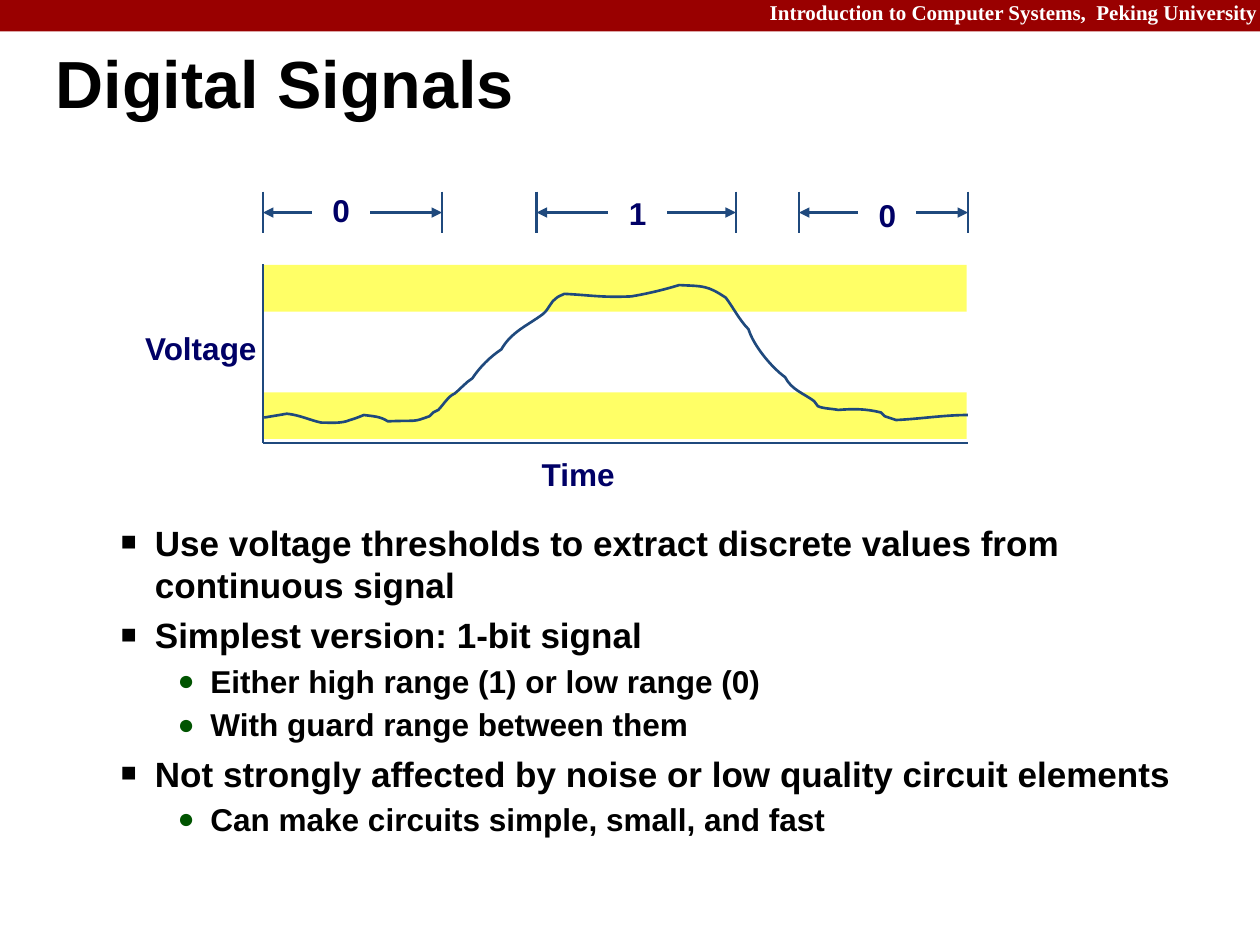
from collections import namedtuple

from lxml.etree import SubElement
from pptx import Presentation
from pptx.dml.color import RGBColor
from pptx.enum.shapes import MSO_CONNECTOR as Connector, MSO_SHAPE as Preset
from pptx.enum.text import MSO_ANCHOR as Anchor, PP_ALIGN as Align
from pptx.oxml.ns import qn
from pptx.util import Inches, Pt

Box = namedtuple("Box", "left top width height")
COLUMNS, ROWS = 999, 749
CELL = Inches(0.01)
BLACK, WHITE, RED, YELLOW = "000000", "FFFFFF", "990000", "FFFF66"
NAVY, BLUE, GREEN = "000066", "1F497D", "005400"

BULLETS = [
    (1, "Use voltage thresholds to extract discrete values from continuous signal"),
    (1, "Simplest version: 1-bit signal"),
    (2, "Either high range (1) or low range (0)"),
    (2, "With guard range between them"),
    (1, "Not strongly affected by noise or low quality circuit elements"),
    (2, "Can make circuits simple, small, and fast"),
]
Level = namedtuple("Level", "margin indent size spacing before mark mark_size mark_color")
LEVELS = {
    1: Level(81, -27, 20, 1.0, 5, "■", 75, BLACK),
    2: Level(125, -26, 18, 1.07, 1.8, "●", 90, GREEN),
}
SPANS = [("0", 0, 142, 62, 0), ("1", 217, 375, 297, 2), ("0", 425, 559, 495, 4)]
SIGNAL_START = (1, 122)
SIGNAL_CURVES = [
    (7, 121, 13, 120, 19, 119), (29, 120, 37, 124, 46, 126),
    (53, 126, 62, 127, 69, 124), (73, 123, 80, 120, 80, 120),
    (87, 121, 93, 121, 99, 125), (124, 124, 118, 126, 132, 121),
    (133, 120, 133, 119, 135, 118), (136, 117, 138, 117, 139, 116),
    (143, 112, 147, 105, 152, 103), (157, 99, 161, 94, 166, 91),
    (172, 82, 180, 74, 189, 68), (197, 54, 210, 49, 222, 40),
    (227, 36, 228, 30, 233, 27), (234, 26, 237, 25, 239, 24),
    (260, 25, 268, 27, 292, 26), (304, 24, 317, 21, 330, 17),
    (349, 18, 352, 17, 367, 27), (373, 35, 378, 45, 385, 52),
    (389, 65, 403, 82, 414, 90), (419, 100, 429, 103, 437, 109),
    (438, 110, 439, 112, 440, 113), (444, 115, 452, 115, 456, 116),
    (468, 115, 478, 115, 490, 118), (491, 119, 492, 120, 493, 121),
    (496, 122, 502, 124, 502, 124), (522, 123, 540, 120, 559, 120),
]


def color(value):
    """Turn a hex string into a colour."""
    return RGBColor.from_string(value)


def cells(*values):
    """Turn grid cells into slide lengths."""
    return [round(value * CELL) for value in values]


def inside(box, left, top, width, height):
    """Return a box placed relative to another one."""
    return Box(box.left + left, box.top + top, width, height)


def add_run(paragraph, text, size, fill, font="Arial"):
    """Add one bold run."""
    run = paragraph.add_run()
    run.text = text
    run.font.name, run.font.size, run.font.bold = font, Pt(size), True
    run.font.color.rgb = color(fill)


def set_frame(shape, margins, wrap=True, anchor=Anchor.TOP):
    """Prepare the text frame of a shape and return it."""
    frame = shape.text_frame
    frame.word_wrap, frame.vertical_anchor = wrap, anchor
    frame.margin_left, frame.margin_top, frame.margin_right, frame.margin_bottom = cells(*margins)
    return frame


def add_line_of_text(frame, text, size, fill, align, spacing=0.9, font="Arial"):
    """Fill a text frame with a single paragraph."""
    paragraph = frame.paragraphs[0]
    paragraph.alignment, paragraph.line_spacing = align, spacing
    add_run(paragraph, text, size, fill, font)


def add_rectangle(slide, box, fill):
    """Add a plain filled rectangle."""
    shape = slide.shapes.add_shape(Preset.RECTANGLE, *cells(*box))
    shape.shadow.inherit = False
    shape.fill.solid()
    shape.fill.fore_color.rgb = color(fill)
    shape.line.fill.background()
    return shape


def add_line(slide, box, start, end, arrows=False):
    """Draw a straight line between two points of a box."""
    points = [box.left + start[0], box.top + start[1], box.left + end[0], box.top + end[1]]
    line = slide.shapes.add_connector(Connector.STRAIGHT, *cells(*points))
    line.line.color.rgb, line.line.width = color(BLUE), Pt(1.5)
    if arrows:
        for tag in ("a:headEnd", "a:tailEnd"):
            SubElement(line.line._get_or_add_ln(), qn(tag), type="triangle")
    SubElement(line._element.spPr, qn("a:effectLst"))


def add_header(slide, box):
    """Draw the course banner."""
    add_rectangle(slide, box, RED)
    text_box = slide.shapes.add_textbox(*cells(*inside(box, 600, -3, 407, 28)))
    frame = set_frame(text_box, (10, 5, 10, 5))
    add_line_of_text(frame, "Introduction to Computer Systems,  Peking University", 12, WHITE,
                     Align.RIGHT, font="Times New Roman")


def add_title(slide, box):
    """Write the slide title."""
    frame = set_frame(slide.shapes.add_textbox(*cells(*box)), (0, 0, 0, 0), anchor=Anchor.MIDDLE)
    add_line_of_text(frame, "Digital Signals", 38, BLACK, Align.LEFT, 0.87)


def add_bullets(slide, box):
    """Write the two-level bullet list."""
    frame = set_frame(slide.shapes.add_textbox(*cells(*box)), (10, 5, 10, 5))
    for index, (depth, text) in enumerate(BULLETS):
        level = LEVELS[depth]
        paragraph = frame.add_paragraph() if index else frame.paragraphs[0]
        properties = paragraph._p.get_or_add_pPr()
        margin, indent = cells(level.margin, level.indent)
        properties.set("marL", str(margin))
        properties.set("indent", str(indent))
        mark_color = SubElement(properties, qn("a:buClr"))
        SubElement(mark_color, qn("a:srgbClr"), val=level.mark_color)
        SubElement(properties, qn("a:buSzPct"), val=str(level.mark_size * 1000))
        SubElement(properties, qn("a:buFont"), typeface="Arial")
        SubElement(properties, qn("a:buChar"), char=level.mark)
        paragraph.level = depth - 1
        paragraph.line_spacing = level.spacing
        if index:
            paragraph.space_before = Pt(level.before)
        add_run(paragraph, text, level.size, BLACK)


def bend_segments(shape):
    """Join each three straight segments of a freeform into one cubic curve."""
    outline = next(shape._element.iter(qn("a:path")))
    segments = outline.findall(qn("a:lnTo"))
    for index in range(0, len(segments), 3):
        curve = SubElement(outline, qn("a:cubicBezTo"))
        for segment in segments[index:index + 3]:
            curve.append(segment[0])
            outline.remove(segment)


def add_signal(slide, box):
    """Draw the voltage curve."""
    points = [curve[i:i + 2] for curve in SIGNAL_CURVES for i in (0, 2, 4)]
    start, *rest = [cells(box.left + x, box.top + y) for x, y in [SIGNAL_START] + points]
    builder = slide.shapes.build_freeform(*start)
    builder.add_line_segments(rest, close=False)
    signal = builder.convert_to_shape()
    bend_segments(signal)
    signal.shadow.inherit = False
    signal.fill.background()
    signal.line.color.rgb, signal.line.width = color(BLUE), Pt(1.5)


def add_plot(slide, box):
    """Draw the threshold bands, axes, axis names and signal."""
    for top in (1, 102):
        add_rectangle(slide, inside(box, 0, top, 558, 37), YELLOW)
    for end in ((0, 0), (box.width, box.height)):
        add_line(slide, box, (0, box.height), end)
    names = [("Voltage", (-100, 50, 100, 37), Align.RIGHT), ("Time", (216, 150, 68, 37), Align.CENTER)]
    for name, place, align in names:
        text_box = slide.shapes.add_textbox(*cells(*inside(box, *place)))
        add_line_of_text(set_frame(text_box, (5, 5, 5, 5), wrap=False), name, 18, NAVY, align)
    add_signal(slide, box)


def add_spans(slide, box):
    """Draw the labelled bit intervals."""
    middle = box.height / 2
    for bit, start, end, center, drop in SPANS:
        for x in (start, end):
            add_line(slide, box, (x, 0), (x, box.height))
        add_line(slide, box, (start, middle), (end, middle), arrows=True)
        label = add_rectangle(slide, inside(box, center - 22, drop - 2, 44, 39), WHITE)
        label.line.color.rgb, label.line.width = color(WHITE), Pt(1.5)
        add_line_of_text(set_frame(label, (5, 5, 5, 5)), bit, 18, NAVY, Align.CENTER)


def main():
    """Build the slide and save it."""
    presentation = Presentation()
    presentation.slide_width, presentation.slide_height = cells(COLUMNS, ROWS)
    slide = presentation.slides.add_slide(presentation.slide_layouts[6])
    add_header(slide, Box(0, 0, COLUMNS, 25))
    add_title(slide, Box(44, 27, 952, 85))
    add_bullets(slide, Box(32, 408, 907, 295))
    add_plot(slide, Box(208.5, 209, 559, 142))
    add_spans(slide, Box(208.5, 152, 559, 33))
    presentation.save("out.pptx")


if __name__ == "__main__":
    main()
